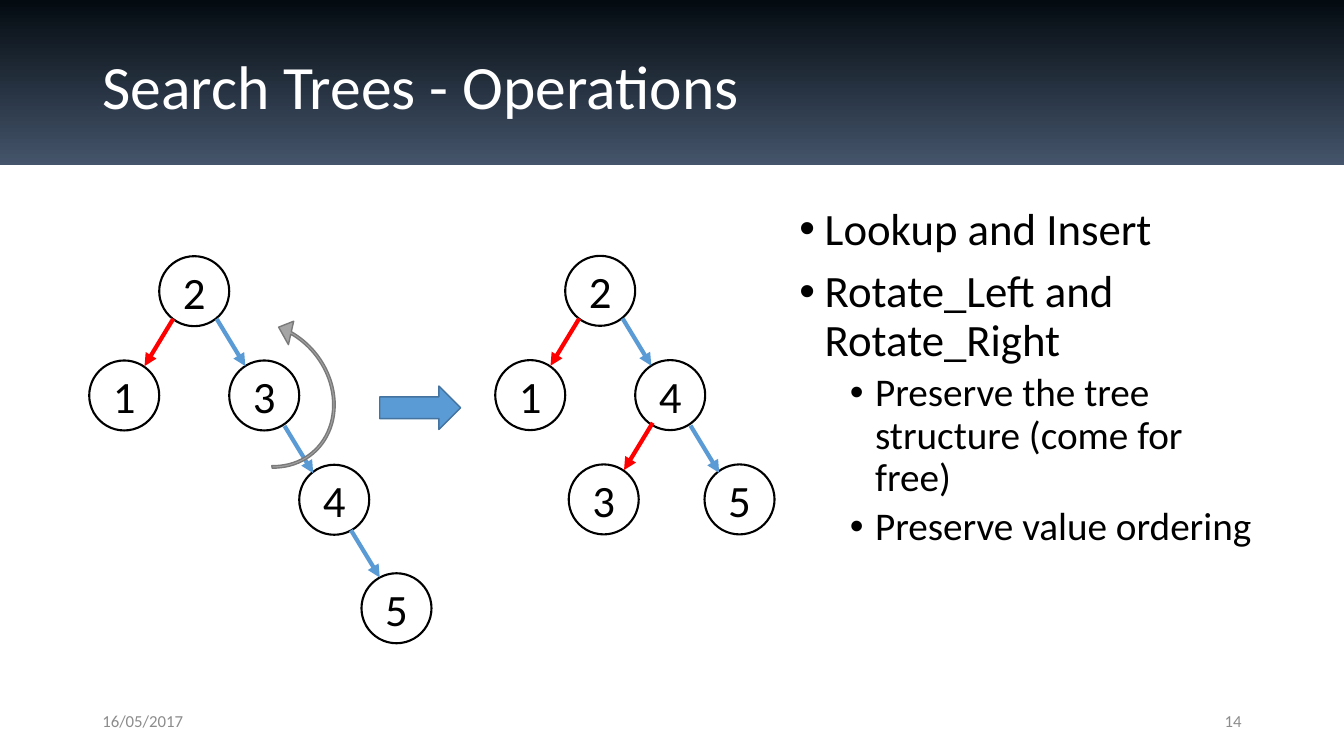
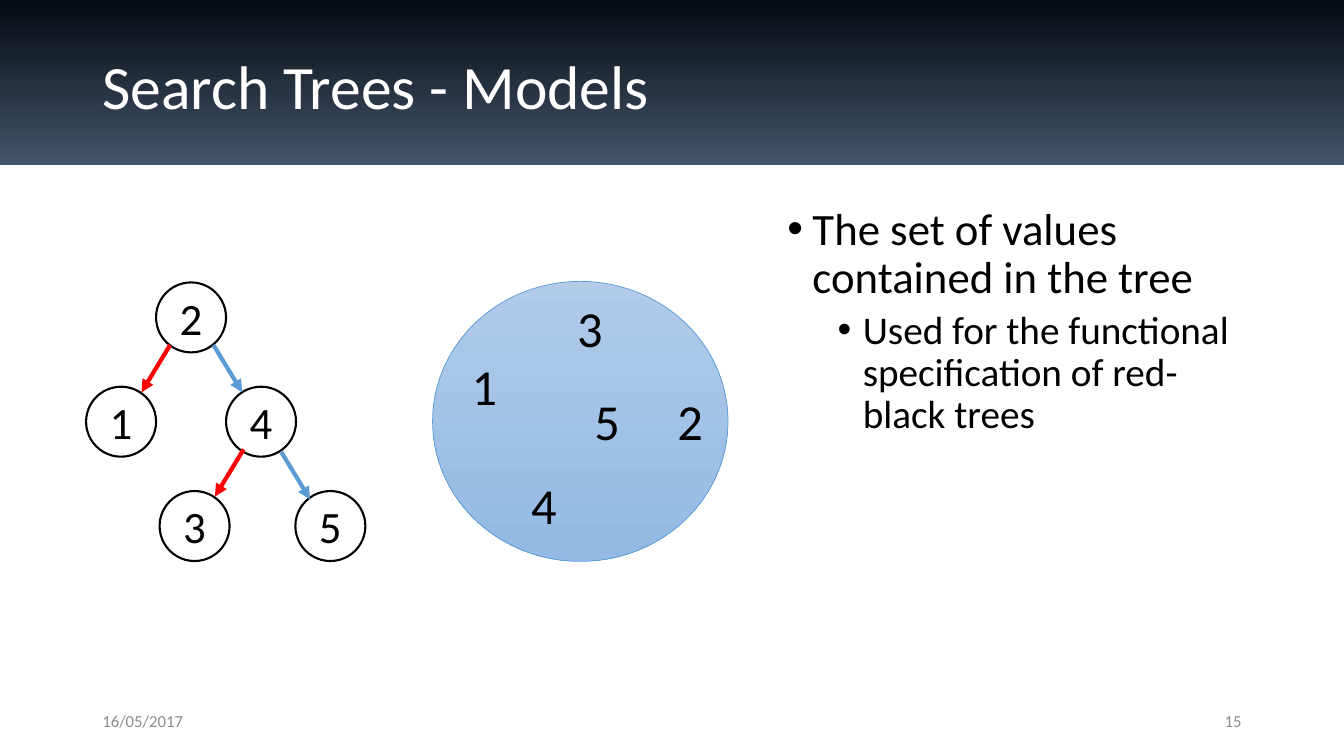
from lxml import etree
from pptx import Presentation
from pptx.dml.color import RGBColor
from pptx.enum import shapes, text
from pptx.oxml import ns
from pptx.util import Pt

BLACK = RGBColor(0x00, 0x00, 0x00)
WHITE = RGBColor(0xFF, 0xFF, 0xFF)
RED = RGBColor(0xFF, 0x00, 0x00)
BLUE = RGBColor(0x5B, 0x9B, 0xD5)
NAVY = RGBColor(0x43, 0x73, 0x9E)
NIGHT = RGBColor(0x04, 0x0B, 0x11)
SLATE = RGBColor(0x44, 0x54, 0x6A)
PALE = RGBColor(0xB1, 0xCB, 0xE9)
SKY = RGBColor(0x93, 0xB9, 0xE4)
GREY = RGBColor(0xA5, 0xA5, 0xA5)
STEEL = RGBColor(0x7A, 0x7A, 0x7A)
FAINT = RGBColor(0x8C, 0x8C, 0x8C)

KIND = shapes.MSO_SHAPE
ALIGN = text.PP_ALIGN
MIDDLE = {"word_wrap": True, "vertical_anchor": text.MSO_ANCHOR.MIDDLE}
TOP = {"word_wrap": True, "vertical_anchor": text.MSO_ANCHOR.TOP}

TITLE = {"size": 44, "tint": WHITE, "frame": MIDDLE, "para": {"line_spacing": 0.9}}
NODE = {"size": 32, "tint": BLACK, "frame": MIDDLE, "para": {"alignment": ALIGN.CENTER}}
VALUE = {"size": 36, "tint": BLACK, "frame": TOP, "para": {"alignment": ALIGN.LEFT}}
DATE = {"size": 12, "tint": FAINT, "frame": MIDDLE, "para": {"alignment": ALIGN.LEFT}}
COUNT = {"size": 12, "tint": FAINT, "frame": MIDDLE, "para": {"alignment": ALIGN.RIGHT}}
POINTS = [
    {"size": 32, "tint": BLACK, "frame": TOP,
     "para": {"line_spacing": 0.9, "space_before": Pt(10)}},
    {"size": 28, "tint": BLACK, "frame": TOP,
     "para": {"level": 1, "line_spacing": 0.9, "space_before": Pt(5)}},
]

SIDE = 50
RISE = 33.75
RUN = 20.5
CHAIN = [
    ("2", 0, 0, None),
    ("1", -50, 74.5, (RED, 39.5, 4)),
    ("3", 50, 74.5, (BLUE, 11.5, 4)),
    ("4", 100, 149, (BLUE, 10, 6)),
    ("5", 144.5, 226.5, (BLUE, 13, 3)),
]
EVEN = [
    ("2", 0, 0, None),
    ("1", -50, 74.5, (RED, 39.5, 4)),
    ("4", 50, 74.5, (BLUE, 11.5, 4)),
    ("3", 2.5, 149, (RED, 39.5, 4)),
    ("5", 99.5, 149, (BLUE, 10.5, 6)),
]
PAGES = [
    {"title": "Search Trees - Operations", "count": "14", "left": 564,
     "points": [("Lookup and Insert", 0),
                ("Rotate_Left and Rotate_Right", 0),
                ("Preserve the tree structure (come for free)", 1),
                ("Preserve value ordering", 1)],
     "trees": [(CHAIN, 113.75, 183), (EVEN, 403.75, 182.75)]},
    {"title": "Search Trees - Models", "count": "15", "left": 555.25,
     "points": [("The set of values contained in the tree", 0),
                ("Used for the functional specification of red-black trees", 1)],
     "trees": [(EVEN, 111.5, 201.75)]},
]


def draw(slide, kind, area, fill, edge=None, width=1):
    shape = slide.shapes.add_shape(kind, *map(Pt, area))
    shape.shadow.inherit = False
    if isinstance(fill, list):
        shape.fill.gradient()
        shape.fill.gradient_angle = 270
        for stop, tint, place in zip(shape.fill.gradient_stops, fill, (0, 1)):
            stop.color.rgb = tint
            stop.position = place
    else:
        shape.fill.solid()
        shape.fill.fore_color.rgb = fill
    if edge is None:
        shape.line.fill.background()
    else:
        shape.line.color.rgb = edge
        shape.line.width = Pt(width)
    return shape


def write(box, words, form):
    frame = box.text_frame
    para = frame.paragraphs[0] if not frame.text else frame.add_paragraph()
    run = para.add_run()
    run.text = words
    face = {"name": "Calibri", "size": Pt(form["size"])}
    for part, vals in ((frame, form["frame"]), (para, form["para"]), (run.font, face)):
        for key, val in vals.items():
            setattr(part, key, val)
    run.font.color.rgb = form["tint"]
    return para


deck = Presentation()
deck.slide_width = Pt(960)
deck.slide_height = Pt(540)
slides = []

for page in PAGES:
    slide = deck.slides.add_slide(deck.slide_layouts[6])
    slides.append(slide)
    draw(slide, KIND.RECTANGLE, (0, 0, 960, 118), [NIGHT, SLATE])

    for words, area, form in (
        (page["title"], (66, 28.75, 828, 70), TITLE),
        ("16/05/2017", (66, 500.5, 216, 28.75), DATE),
        (page["count"], (678, 500.5, 216, 28.75), COUNT),
    ):
        write(slide.shapes.add_textbox(*map(Pt, area)), words, form)

    left = page["left"]
    body = slide.shapes.add_textbox(Pt(left), Pt(144), Pt(904.5 - left), Pt(342.5))
    for words, level in page["points"]:
        props = write(body, words, POINTS[level])._p.get_or_add_pPr()
        props.set("marL", str(Pt(18 + 36 * level)))
        props.set("indent", str(-Pt(18)))
        etree.SubElement(props, ns.qn("a:buFont")).set("typeface", "Arial")
        etree.SubElement(props, ns.qn("a:buChar")).set("char", "•")

    for tree, x, y in page["trees"]:
        for label, dx, dy, edge in tree:
            node = draw(slide, KIND.OVAL, (x + dx, y + dy, SIDE, SIDE), WHITE, BLACK, 1.5)
            write(node, label, NODE)
        for label, dx, dy, edge in tree[1:]:
            tint, ex, ey = edge
            tipx, tipy = x + dx + ex, y + dy + ey
            tailx = tipx + (RUN if tint == RED else -RUN)
            link = slide.shapes.add_connector(
                shapes.MSO_CONNECTOR.STRAIGHT,
                Pt(tailx), Pt(tipy - RISE), Pt(tipx), Pt(tipy))
            link.line.color.rgb = tint
            link.line.width = Pt(3)
            props = link._element.spPr
            etree.SubElement(props.get_or_add_ln(), ns.qn("a:tailEnd")).set("type", "triangle")
            etree.SubElement(props, ns.qn("a:effectLst"))

turns, models = slides

draw(turns, KIND.RIGHT_ARROW, (271.25, 275.75, 57.75, 31), BLUE, NAVY)
spin = draw(turns, KIND.CIRCULAR_ARROW, (132.5, 219, 111.5, 126), GREY, STEEL)
spin.rotation = 319.9
spin._element.spPr.xfrm.set("flipH", "1")
for spot, val in enumerate((0.016, 6.85, 123.54, 33.94, 0.077)):
    spin.adjustments[spot] = val

draw(models, KIND.OVAL, (309, 201, 211, 200), [PALE, SKY], BLUE, 0.5)
for label, x, y in (
    ("1", 329.75, 249.75),
    ("2", 476.75, 275),
    ("3", 405.25, 208.75),
    ("4", 372.25, 334.75),
    ("5", 417.5, 275),
):
    write(models.shapes.add_textbox(Pt(x), Pt(y), Pt(36), Pt(51)), label, VALUE)

deck.save("out.pptx")
